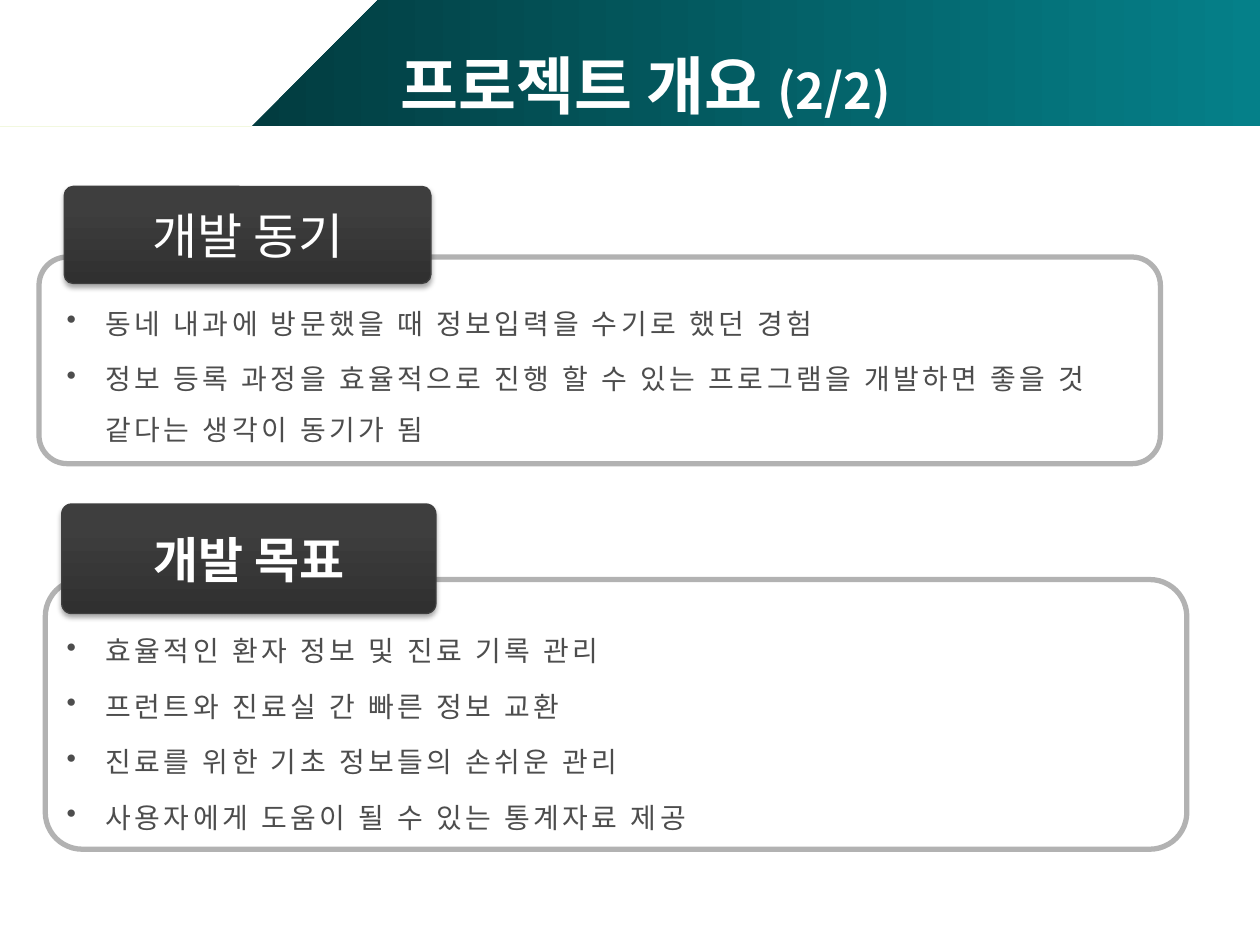
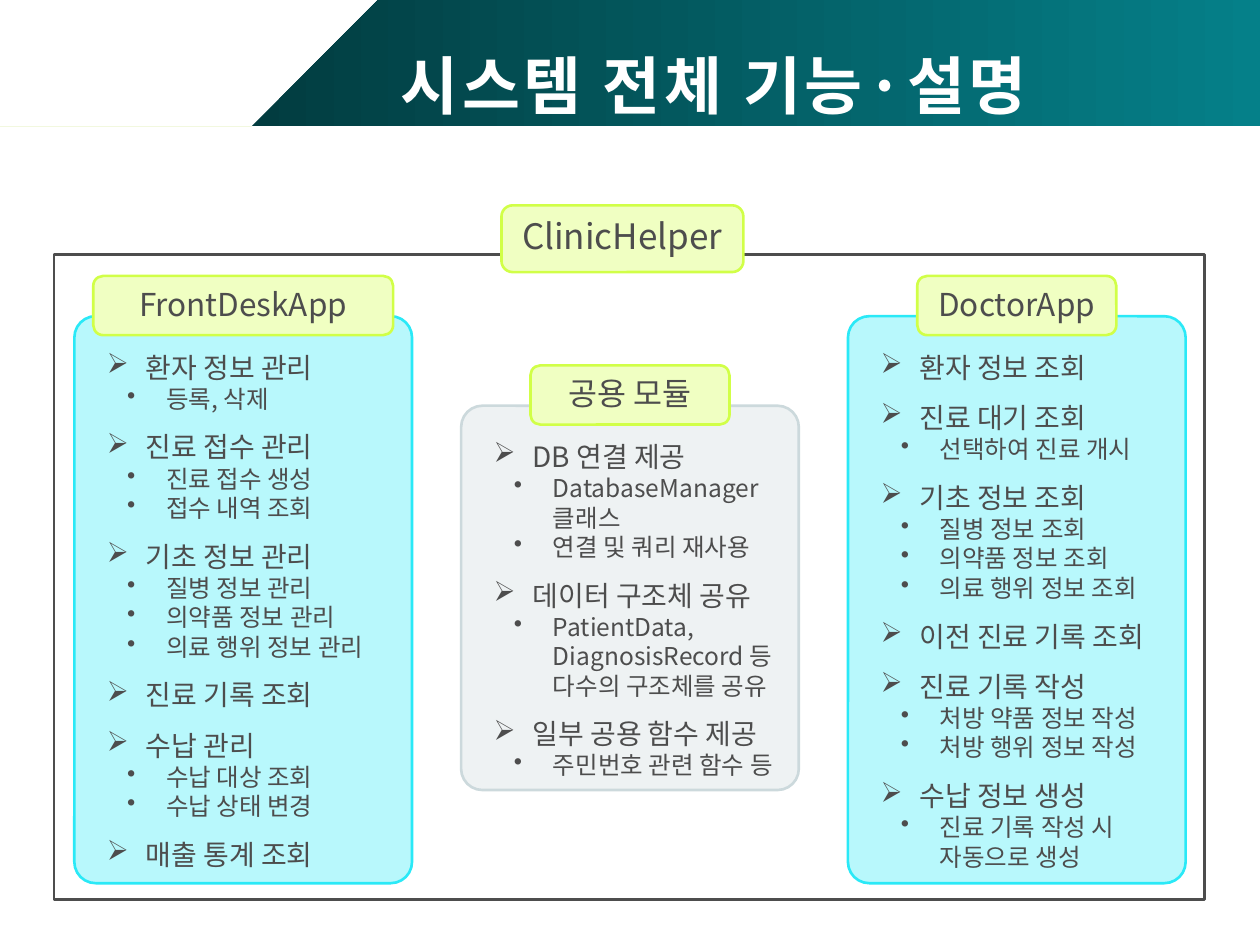
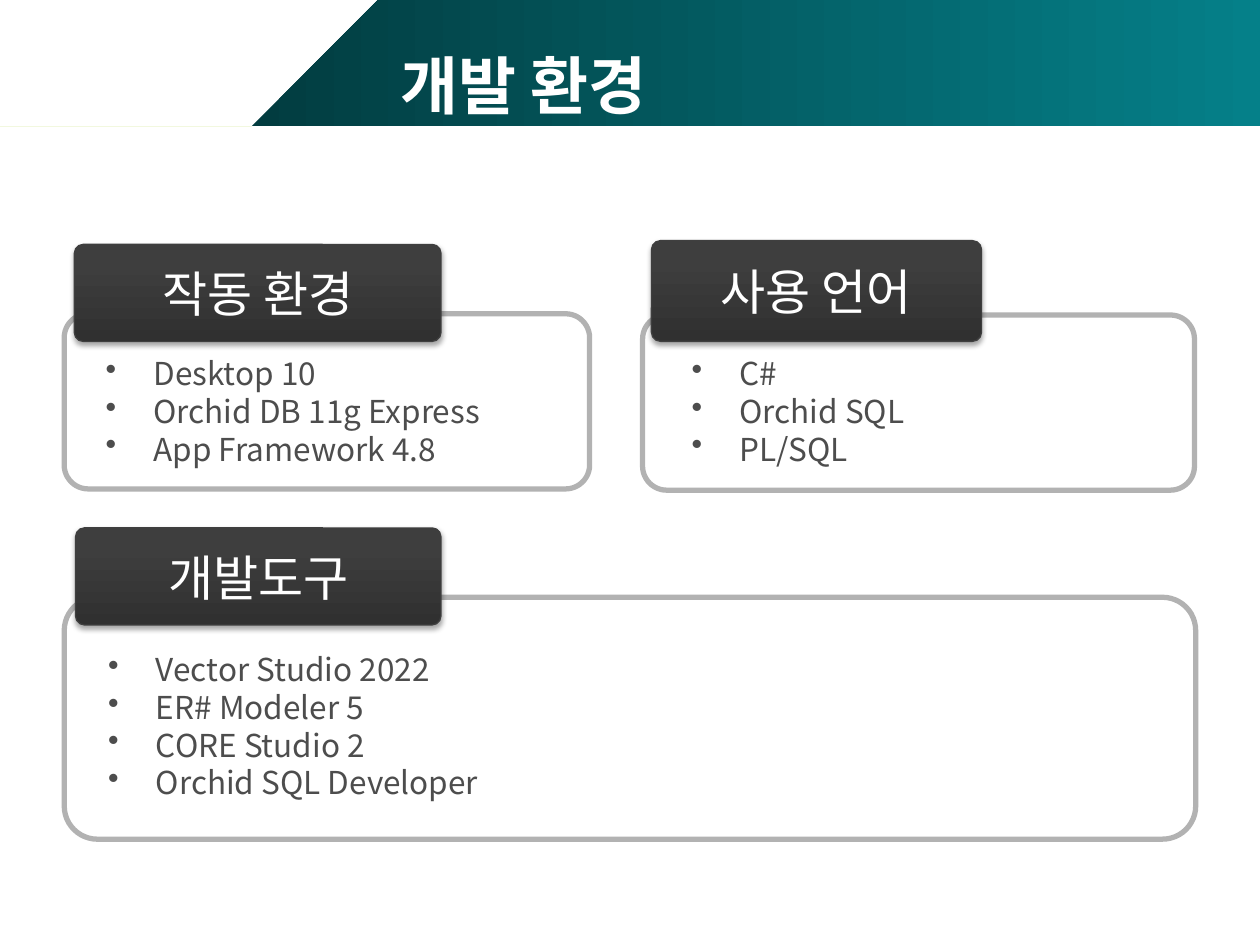
"""Build three slides presenting a clinic management project."""
import pptx
import pptx.dml.color
import pptx.enum.shapes
import pptx.enum.text
import pptx.oxml
import pptx.oxml.ns
import pptx.util
from pptx.util import Inches

FONT = "Noto Sans CJK KR"
COLORS = {
    "white": "FFFFFF", "text": "4D4D4D", "band_start": "023C40", "band_end": "058089",
    "accent": "99CC00", "panel_line": "B2B2B2", "tab_start": "303030", "tab_end": "3E3E3E",
    "tab_line": "3F3F3F", "label": "F0FFC2", "label_line": "D1FF47", "app": "B8F8FC",
    "app_line": "2AE9F7", "module": "EEF2F3", "module_line": "CCD9DC",
}
ALIGN = pptx.enum.text.PP_ALIGN
ANCHOR = pptx.enum.text.MSO_ANCHOR
SHAPE = pptx.enum.shapes.MSO_SHAPE
TAB_SHADOW = (
    '<a:effectLst {}><a:outerShdw blurRad="39370" dist="22860" dir="5400000" rotWithShape="0">'
    '<a:srgbClr val="000000"><a:alpha val="35000"/></a:srgbClr></a:outerShdw></a:effectLst>'
).format(pptx.oxml.ns.nsdecls("a"))

CARD_WIDTH = 2.68
CARD_LEFT = 0.59
CARD_STEP = 3.07
APP_CARDS = [
    ("FrontDeskApp", 2.38, 2.51, 4.5, "app", [
        ("환자 정보 관리", ["등록, 삭제"]),
        ("진료 접수 관리", ["진료 접수 생성", "접수 내역 조회"]),
        ("기초 정보 관리", ["질병 정보 관리", "의약품 정보 관리", "의료 행위 정보 관리"]),
        ("진료 기록 조회", []),
        ("수납 관리", ["수납 대상 조회", "수납 상태 변경"]),
        ("매출 통계 조회", []),
    ]),
    ("공용 모듈", 1.58, 3.22, 3.05, "module", [
        ("DB 연결 제공", ["DatabaseManager 클래스", "연결 및 쿼리 재사용"]),
        ("데이터 구조체 공유", ["PatientData, DiagnosisRecord 등 다수의 구조체를 공유"]),
        ("일부 공용 함수 제공", ["주민번호 관련 함수 등"]),
    ]),
    ("DoctorApp", 1.58, 2.51, 4.5, "app", [
        ("환자 정보 조회", []),
        ("진료 대기 조회", ["선택하여 진료 개시"]),
        ("기초 정보 조회", ["질병 정보 조회", "의약품 정보 조회", "의료 행위 정보 조회"]),
        ("이전 진료 기록 조회", []),
        ("진료 기록 작성", ["처방 약품 정보 작성", "처방 행위 정보 작성"]),
        ("수납 정보 생성", ["진료 기록 작성 시 자동으로 생성"]),
    ]),
]
MOTIVE_SECTIONS = [
    ("개발 목표", True, (0.36, 4.6, 9.06, 2.14), (0.49, 4, 2.97, 0.87), (0.43, 4.85, 8.82, 1.8), [
        "효율적인 환자 정보 및 진료 기록 관리",
        "프런트와 진료실 간 빠른 정보 교환",
        "진료를 위한 기초 정보들의 손쉬운 관리",
        "사용자에게 도움이 될 수 있는 통계자료 제공",
    ]),
    ("개발 동기", False, (0.31, 2.04, 8.9, 1.64), (0.51, 1.48, 2.91, 0.77), (0.43, 2.25, 8.5, 1.31), [
        "동네 내과에 방문했을 때 정보입력을 수기로 했던 경험",
        "정보 등록 과정을 효율적으로 진행 할 수 있는 프로그램을 개발하면 좋을 것 같다는 생각이 동기가 됨",
    ]),
]
ENVIRONMENT_SECTIONS = [
    ("개발도구", False, (0.51, 4.74, 8.98, 1.92), (0.6, 4.19, 2.9, 0.77), (0.76, 5.11, 6.54, 1.31),
     ["Vector Studio 2022", "ER# Modeler 5", "CORE Studio 2", "Orchid SQL Developer"]),
    ("작동 환경", False, (0.51, 2.49, 4.17, 1.39), (0.59, 1.94, 2.91, 0.77), (0.74, 2.76, 3.73, 1.01),
     ["Desktop 10", "Orchid DB 11g Express", "App Framework 4.8"]),
    ("사용 언어", False, (5.1, 2.5, 4.38, 1.39), (5.17, 1.91, 2.62, 0.8), (5.39, 2.76, 3.73, 1.01),
     ["C#", "Orchid SQL", "PL/SQL"]),
]
MOTIVE_STYLE = {
    "size": 16, "indent": 0.31, "spacing": 2,
    "line_spacing": 1.5, "space_after": pptx.util.Pt(2.9),
}
ENVIRONMENT_STYLE = {"size": 18, "indent": 0.38}


def rgb(name):
    """Return the named colour."""
    return pptx.dml.color.RGBColor.from_string(COLORS[name])


def set_attributes(target, values):
    """Set each attribute of the target from a dict."""
    for name, value in values.items():
        setattr(target, name, value)


def add_run(paragraph, text, size, color="text", bold=False, spacing=0):
    """Add a run in the shared font."""
    run = paragraph.add_run()
    run.text = text
    set_attributes(run.font, {"size": pptx.util.Pt(size), "bold": bold, "name": FONT})
    run.font.color.rgb = rgb(color)
    properties = run.font._element
    east_asian = pptx.oxml.parse_xml(
        '<a:ea {} typeface="{}"/>'.format(pptx.oxml.ns.nsdecls("a"), FONT))
    properties.find(pptx.oxml.ns.qn("a:latin")).addnext(east_asian)
    if spacing:
        properties.set("spc", str(spacing * 100))


def set_bullet(paragraph, character, margin, indent):
    """Give a paragraph a bullet with a hanging indent."""
    properties = paragraph._p.get_or_add_pPr()
    properties.set("marL", str(Inches(margin)))
    properties.set("indent", str(-Inches(indent)))
    properties.append(pptx.oxml.parse_xml(
        '<a:buChar {} char="{}"/>'.format(pptx.oxml.ns.nsdecls("a"), character)))


def add_text_box(slide, box):
    """Add a wrapping text box and return its text frame."""
    frame = slide.shapes.add_textbox(*map(Inches, box)).text_frame
    frame.word_wrap = True
    return frame


def next_paragraph(frame, index):
    """Return the first paragraph, or a new one after it."""
    return frame.add_paragraph() if index else frame.paragraphs[0]


def add_block(slide, kind, box, fill, line, width, corner=None):
    """Add a preset shape with an optional solid fill."""
    shape = slide.shapes.add_shape(kind, *map(Inches, box))
    shape.shadow.inherit = False
    if corner:
        shape.adjustments[0] = corner
    if fill:
        shape.fill.solid()
        shape.fill.fore_color.rgb = rgb(fill)
    else:
        shape.fill.background()
    shape.line.color.rgb = rgb(line)
    shape.line.width = pptx.util.Pt(width)
    return shape


def set_gradient(shape, start, end, angle, end_position=1.0):
    """Fill a shape with a linear two-colour gradient."""
    shape.fill.gradient()
    shape.fill.gradient_angle = angle
    for stop, color, position in zip(
            shape.fill.gradient_stops, (start, end), (0.0, end_position)):
        stop.color.rgb = rgb(color)
        stop.position = position


def write_label(shape, text, size, color, anchor, wrap, bold=False):
    """Write centred text in a shape."""
    set_attributes(shape.text_frame, {"vertical_anchor": anchor, "word_wrap": wrap})
    paragraph = shape.text_frame.paragraphs[0]
    paragraph.alignment = ALIGN.CENTER
    add_run(paragraph, text, size, color, bold)


def add_band(slide, layout, points):
    """Build a header band and place it behind the layout's placeholders."""
    builder = slide.shapes.build_freeform(*points[0], scale=Inches(1))
    builder.add_line_segments(points[1:], close=True)
    band = builder.convert_to_shape()
    band.shadow.inherit = False
    band.line.fill.background()
    layout.shapes.element.insert(2, band.element)
    return band


def add_header_bands(slide, layout):
    """Add the two bands that all slides share."""
    title_band = add_band(slide, layout, [(2.32, 1.07), (10, 1.07), (10, 0.28), (3.07, 0.28)])
    set_gradient(title_band, "band_start", "band_end", 0)
    accent_band = add_band(slide, layout, [(0, 1.07), (2.32, 1.07), (1.98, 1.39), (0, 1.39)])
    accent_band.fill.solid()
    accent_band.fill.fore_color.rgb = rgb("accent")


def write_title(slide, parts, spacing=0):
    """Place the title and write its runs of text and size."""
    title = slide.shapes.title
    set_attributes(title, dict(zip(
        ("left", "top", "width", "height"), map(Inches, (3.08, 0.36, 6.67, 0.62)))))
    set_attributes(title.text_frame, {
        "vertical_anchor": ANCHOR.MIDDLE, "word_wrap": True,
        "auto_size": pptx.enum.text.MSO_AUTO_SIZE.NONE,
    })
    paragraph = title.text_frame.paragraphs[0]
    paragraph.alignment = ALIGN.LEFT
    for text, size in parts:
        add_run(paragraph, text, size, "white", True, spacing)


def add_section(slide, style, heading, bold, panel_box, tab_box, list_box, items):
    """Add an outlined panel with a dark heading tab and a bulleted list."""
    panel = add_block(slide, SHAPE.ROUNDED_RECTANGLE, panel_box, "white", "panel_line", 3, 0.137)
    fill_color = panel.element.spPr.find(pptx.oxml.ns.qn("a:solidFill"))[0]
    fill_color.append(pptx.oxml.parse_xml(
        '<a:alpha {} val="31000"/>'.format(pptx.oxml.ns.nsdecls("a"))))
    tab = add_block(slide, SHAPE.ROUNDED_RECTANGLE, tab_box, None, "tab_line", 0.75, 0.091)
    set_gradient(tab, "tab_start", "tab_end", 90, 0.8)
    properties = tab.element.spPr
    properties.replace(properties.find(pptx.oxml.ns.qn("a:effectLst")),
                       pptx.oxml.parse_xml(TAB_SHADOW))
    write_label(tab, heading, 28, "white", ANCHOR.MIDDLE, False, bold)
    frame = add_text_box(slide, list_box)
    for index, item in enumerate(items):
        paragraph = next_paragraph(frame, index)
        set_attributes(paragraph, {
            name: style[name] for name in ("line_spacing", "space_after") if name in style})
        set_bullet(paragraph, "•", style["indent"], style["indent"])
        add_run(paragraph, item, style["size"], spacing=style.get("spacing", 0))


def add_label(slide, text, box, size):
    """Add a light green name label."""
    label = add_block(slide, SHAPE.ROUNDED_RECTANGLE, box, "label", "label_line", 1.5)
    write_label(label, text, size, "text", ANCHOR.TOP, True)


def add_feature_card(slide, left, name, label_width, top, height, color, features):
    """Add a card with a name label and a two-level feature list."""
    add_block(slide, SHAPE.ROUNDED_RECTANGLE, (left, top, CARD_WIDTH, height),
              color, color + "_line", 1.5, 0.063)
    label_left = left + (CARD_WIDTH - label_width) / 2
    add_label(slide, name, (label_left, top - 0.32, label_width, 0.47), 18)
    frame = add_text_box(slide, (left + 0.16, top + 0.22, CARD_WIDTH - 0.16, height - 0.22))
    for index, (feature, details) in enumerate(features):
        paragraph = next_paragraph(frame, index)
        if index:
            paragraph.space_before = pptx.util.Pt(9.6)
        set_bullet(paragraph, "➢", 0.31, 0.31)
        add_run(paragraph, feature, 16)
        for detail in details:
            paragraph = frame.add_paragraph()
            set_bullet(paragraph, "•", 0.47, 0.31)
            add_run(paragraph, detail, 14)


def main():
    """Build and save the presentation."""
    presentation = pptx.Presentation()
    set_attributes(presentation, {"slide_width": Inches(10), "slide_height": Inches(7.5)})
    layout = presentation.slide_layouts.get_by_name("Title Only")

    overview = presentation.slides.add_slide(layout)
    add_header_bands(overview, layout)
    write_title(overview, [("프로젝트 개요 ", 36), ("(2/2)", 28)])
    for section in MOTIVE_SECTIONS:
        add_section(overview, MOTIVE_STYLE, *section)

    functions = presentation.slides.add_slide(layout)
    write_title(functions, [("시스템 전체 기능·설명", 36)], spacing=2)
    add_block(functions, SHAPE.RECTANGLE, (0.43, 2.02, 9.13, 5.12), None, "text", 1.5)
    add_label(functions, "ClinicHelper", (3.98, 1.63, 1.92, 0.53), 20)
    for index, card in enumerate(APP_CARDS):
        add_feature_card(functions, CARD_LEFT + index * CARD_STEP, *card)

    environment = presentation.slides.add_slide(layout)
    write_title(environment, [("개발 환경", 36)])
    for section in ENVIRONMENT_SECTIONS:
        add_section(environment, ENVIRONMENT_STYLE, *section)

    presentation.save("out.pptx")


if __name__ == "__main__":
    main()
